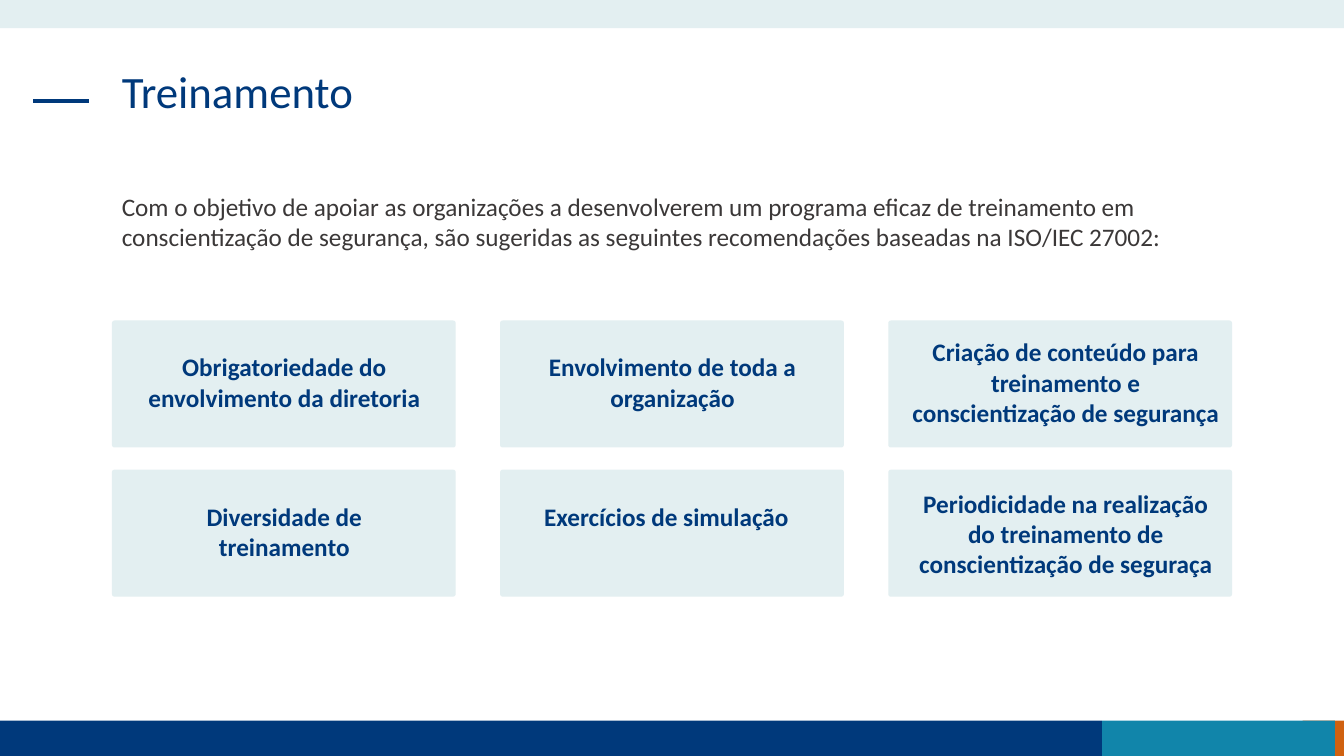
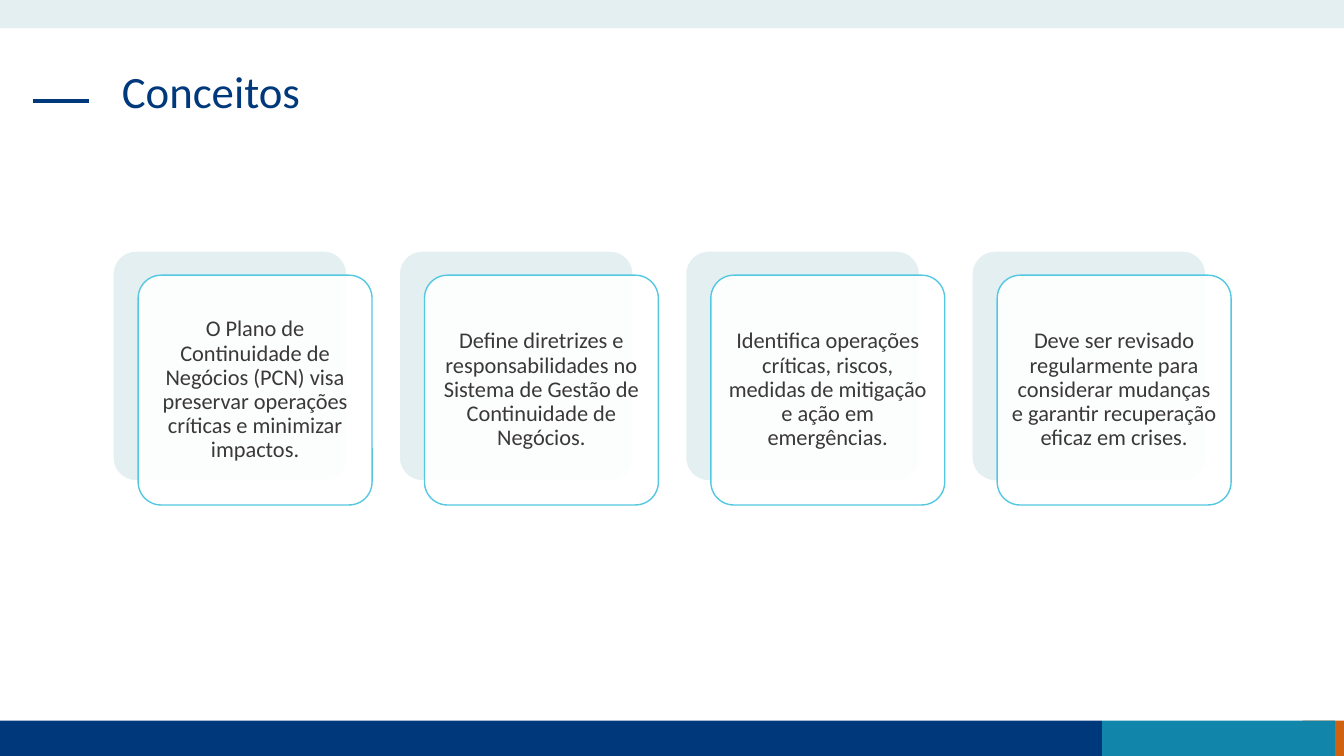
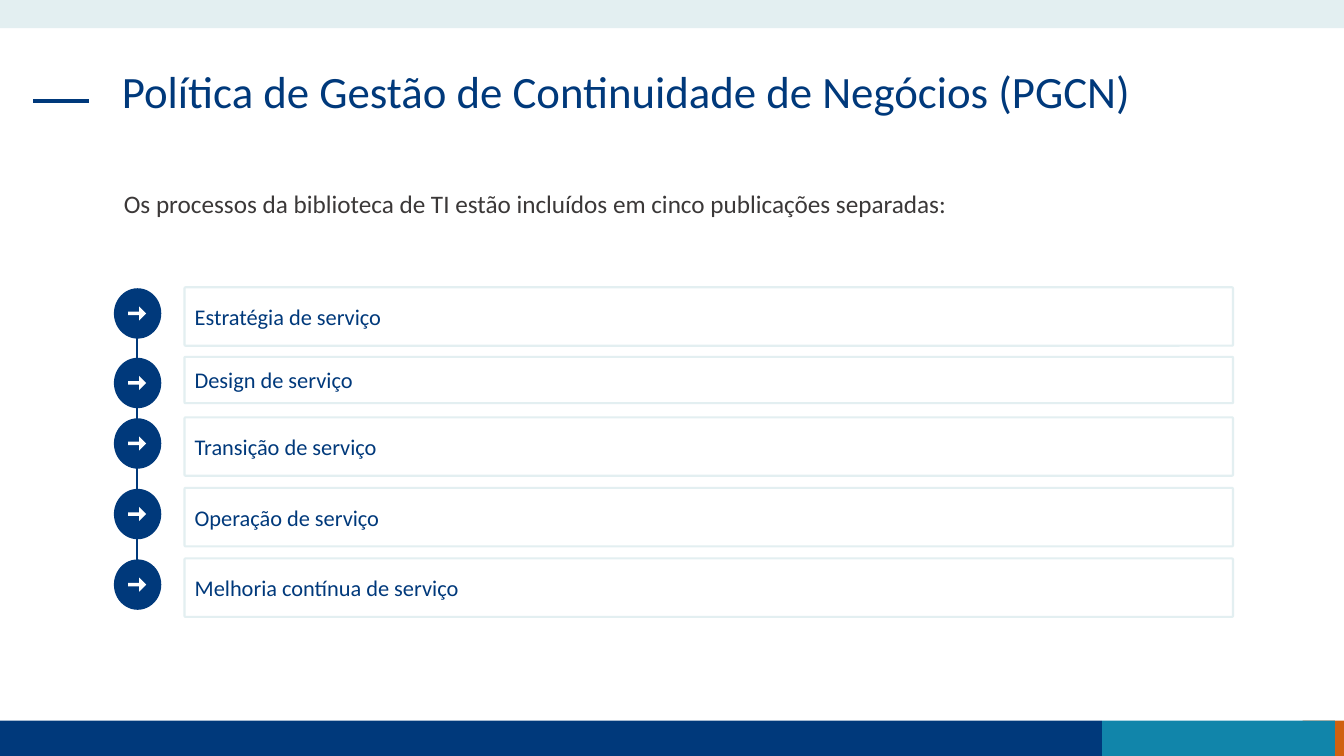
from lxml.etree import SubElement
from pptx import Presentation
from pptx.dml.color import RGBColor
from pptx.enum.shapes import MSO_CONNECTOR, MSO_SHAPE
from pptx.enum.text import MSO_ANCHOR, PP_ALIGN
from pptx.oxml.ns import qn
from pptx.util import Pt

EMU_PER_PX = 9144  # 100 px to the inch
SLIDE_WIDTH, SLIDE_HEIGHT = 1333, 750

NAVY = "00397B"
TEAL = "1185AA"
ORANGE = "D06110"
PALE = "E3EFF1"
SKY = "54C8E1"
GRAPHITE = "3B3838"
WHITE = "FFFFFF"
FONT = "Calibri"

CONTENT_LEFT = 111
CONTENT_WIDTH = 1110

# Text, then left offset, top offset and width of the text inside its card
RECOMMENDATIONS = [
    [
        ("Obrigatoriedade do envolvimento da diretoria", 23, 26, 296),
        ("Envolvimento de toda a organização", 23, 26, 296),
        ("Criação de conteúdo para treinamento e conscientização de segurança", 11, 11, 330),
    ],
    [
        ("Diversidade de treinamento", 23, 26, 296),
        ("Exercícios de simulação", 17, 26, 296),
        ("Periodicidade na realização do treinamento de conscientização de seguraça", 17, 13, 318),
    ],
]

CONCEPTS = [
    "O Plano de Continuidade de Negócios (PCN) visa preservar operações críticas e minimizar impactos.",
    "Define diretrizes e responsabilidades no Sistema de Gestão de Continuidade de Negócios.",
    "Identifica operações críticas, riscos, medidas de mitigação e ação em emergências.",
    "Deve ser revisado regularmente para considerar mudanças e garantir recuperação eficaz em crises.",
]

# Text, then top and height of its row
PUBLICATIONS = [
    ("Estratégia de serviço", 285, 58),
    ("Design de serviço", 354, 46),
    ("Transição de serviço", 414, 58),
    ("Operação de serviço", 484, 58),
    ("Melhoria contínua de serviço", 554, 58),
]


def px(length):
    return length * EMU_PER_PX


def color(hex_string):
    return RGBColor.from_string(hex_string)


def add_shape(slide, preset, left, top, width, height, fill=None, line=None,
              line_width=1, adjustments=()):
    shape = slide.shapes.add_shape(preset, px(left), px(top), px(width), px(height))
    shape.shadow.inherit = False
    if fill:
        shape.fill.solid()
        shape.fill.fore_color.rgb = color(fill)
    else:
        shape.fill.background()
    if line:
        shape.line.color.rgb = color(line)
        shape.line.width = Pt(line_width)
    else:
        shape.line.fill.background()
    for index, value in enumerate(adjustments):
        shape.adjustments[index] = value
    return shape


def set_opacity(shape, percent):
    fill_color = shape.fill._xPr.find(qn("a:solidFill"))[0]
    SubElement(fill_color, qn("a:alpha")).set("val", str(percent * 1000))


def add_line(slide, start, end, line_color, width):
    connector = slide.shapes.add_connector(
        MSO_CONNECTOR.STRAIGHT, *(px(value) for value in (*start, *end)))
    connector.line.color.rgb = color(line_color)
    connector.line.width = Pt(width)
    SubElement(connector._element.spPr, qn("a:effectLst"))


def write(shape, text, size, text_color, bold=False, align=PP_ALIGN.LEFT,
          anchor=MSO_ANCHOR.TOP, line_spacing=None):
    frame = shape.text_frame
    frame.word_wrap = True
    frame.vertical_anchor = anchor
    paragraph = frame.paragraphs[0]
    paragraph.alignment = align
    if line_spacing:
        paragraph.line_spacing = line_spacing
    run = paragraph.add_run()
    run.text = text
    run.font.name = FONT
    run.font.size = Pt(size)
    run.font.bold = bold
    run.font.color.rgb = color(text_color)


def add_text(slide, left, top, width, height, text, size, text_color, **style):
    box = slide.shapes.add_textbox(px(left), px(top), px(width), px(height))
    write(box, text, size, text_color, **style)


def add_base_slide(presentation, title):
    """Add a slide with the shared bands, title dash and title."""
    slide = presentation.slides.add_slide(presentation.slide_layouts[6])
    footer_top = 715
    bands = [
        (1292, footer_top, 41, 35, ORANGE),
        (0, footer_top, 1093, 35, NAVY),
        (1093, footer_top, 231, 35, TEAL),
        (0, 0, SLIDE_WIDTH, 28, PALE),
    ]
    for left, top, width, height, fill in bands:
        add_shape(slide, MSO_SHAPE.RECTANGLE, left, top, width, height, fill)
    add_line(slide, (33, 100), (88, 100), NAVY, 3)
    add_text(slide, CONTENT_LEFT, 64, CONTENT_WIDTH, 94, title, 32, NAVY, line_spacing=0.9)
    return slide


def add_recommendation_grid(slide):
    for row, recommendations in enumerate(RECOMMENDATIONS):
        top = 318 + row * 148
        for column, (text, text_left, text_top, text_width) in enumerate(recommendations):
            left = CONTENT_LEFT + column * 385
            add_shape(slide, MSO_SHAPE.ROUNDED_RECTANGLE, left, top, 341, 126, PALE,
                      adjustments=[0.02])
            add_text(slide, left + text_left, top + text_top, text_width, 71, text,
                     18, NAVY, bold=True, align=PP_ALIGN.CENTER)


def add_concept_card(slide, left, text):
    """Add a white card with text over an offset pale card."""
    top, width, height = 249, 232, 228
    add_shape(slide, MSO_SHAPE.ROUNDED_RECTANGLE, left, top, width, height,
              PALE, WHITE, adjustments=[0.1])
    card = add_shape(slide, MSO_SHAPE.ROUNDED_RECTANGLE, left + 25, top + 24, width, height,
                     WHITE, SKY, adjustments=[0.1])
    set_opacity(card, 90)
    frame = card.text_frame
    frame.margin_left = frame.margin_right = frame.margin_top = frame.margin_bottom = px(7)
    write(card, text, 16, GRAPHITE, align=PP_ALIGN.CENTER,
          anchor=MSO_ANCHOR.MIDDLE, line_spacing=0.9)


def add_publication_list(slide):
    circle_left, circle_width, circle_height = 113, 47, 50
    arrow_width, arrow_height = 18, 14
    first_top, last_top = PUBLICATIONS[0][1], PUBLICATIONS[-1][1]
    add_line(slide, (136, first_top + 25), (136, last_top + 25), NAVY, 1.5)
    for text, top, height in PUBLICATIONS:
        add_shape(slide, MSO_SHAPE.OVAL, circle_left, top + 1, circle_width, circle_height, NAVY)
        add_shape(slide, MSO_SHAPE.RIGHT_ARROW,
                  circle_left + (circle_width - arrow_width) // 2,
                  top + 1 + (circle_height - arrow_height) // 2,
                  arrow_width, arrow_height, WHITE, adjustments=[0.25, 0.5])
        row = add_shape(slide, MSO_SHAPE.ROUNDED_RECTANGLE, 183, top, 1040, height,
                        line=PALE, line_width=1.5, adjustments=[0.02])
        write(row, text, 16, NAVY, anchor=MSO_ANCHOR.MIDDLE)


def build_training_slide(presentation):
    slide = add_base_slide(presentation, "Treinamento")
    add_text(slide, CONTENT_LEFT, 185, CONTENT_WIDTH, 101,
             "Com o objetivo de apoiar as organizações a desenvolverem um programa eficaz de "
             "treinamento em conscientização de segurança, são sugeridas as seguintes "
             "recomendações baseadas na ISO/IEC 27002:", 18, GRAPHITE)
    add_recommendation_grid(slide)


def build_concepts_slide(presentation):
    slide = add_base_slide(presentation, "Conceitos")
    for index, text in enumerate(CONCEPTS):
        add_concept_card(slide, 112 + index * 284, text)


def build_policy_slide(presentation):
    slide = add_base_slide(presentation, "Política de Gestão de Continuidade de Negócios (PGCN)")
    add_text(slide, 113, 182, CONTENT_WIDTH, 40,
             "Os processos da biblioteca de TI estão incluídos em cinco publicações separadas:",
             18, GRAPHITE)
    add_publication_list(slide)


def main():
    presentation = Presentation()
    presentation.slide_width = px(SLIDE_WIDTH)
    presentation.slide_height = px(SLIDE_HEIGHT)
    build_training_slide(presentation)
    build_concepts_slide(presentation)
    build_policy_slide(presentation)
    presentation.save("out.pptx")


if __name__ == "__main__":
    main()
